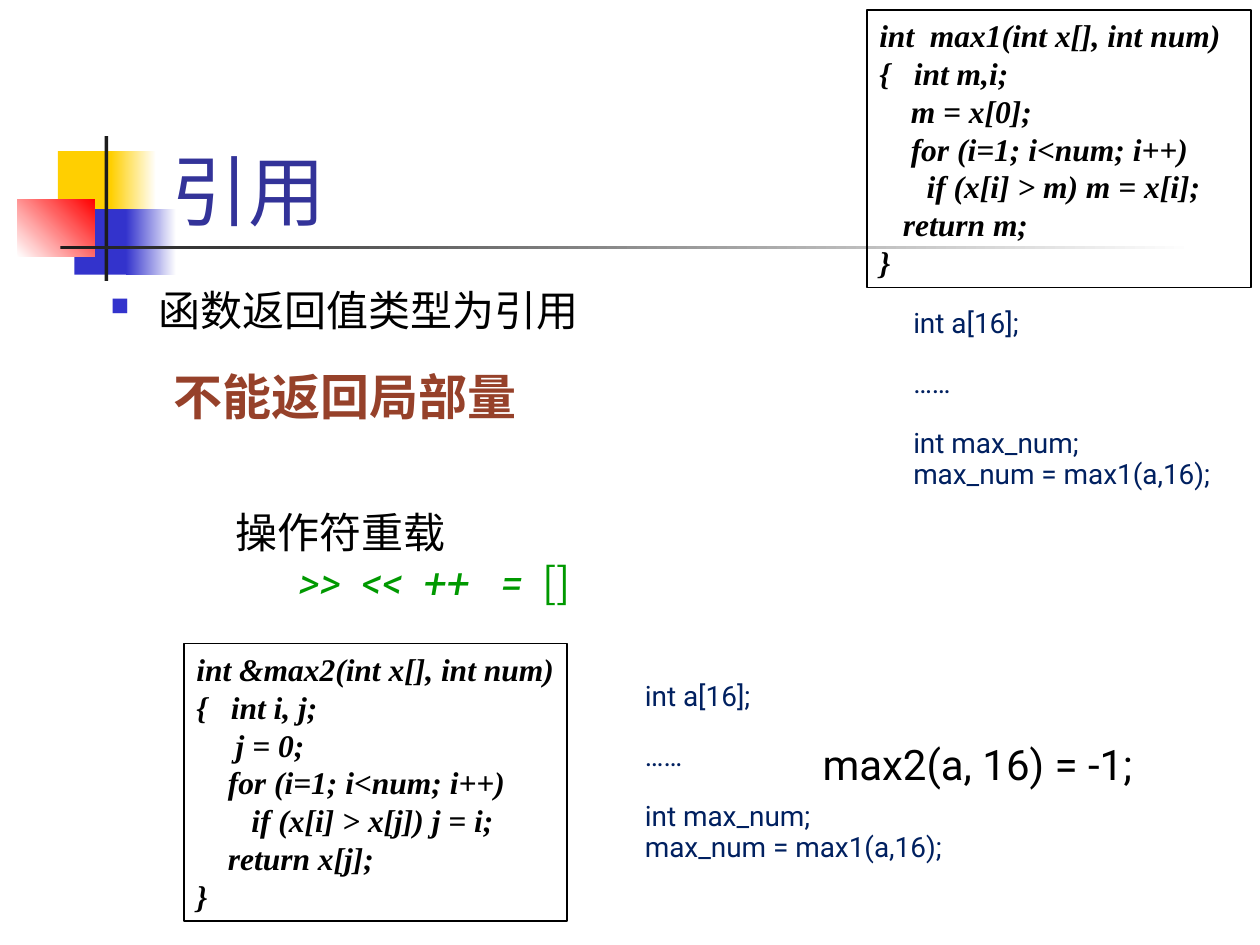
from dataclasses import dataclass

from lxml.etree import SubElement
from pptx import Presentation
from pptx.dml.color import RGBColor
from pptx.enum.shapes import MSO_SHAPE
from pptx.enum.text import MSO_ANCHOR, PP_ALIGN
from pptx.oxml.ns import qn
from pptx.util import Inches, Pt


@dataclass(frozen=True)
class Theme:
    """Colours, fonts and type sizes of the slide."""
    black: str = "000000"
    white: str = "FFFFFF"
    yellow: str = "FFCF01"
    blue: str = "3333CC"
    red: str = "FF0000"
    rule: str = "1C1C1C"
    title: str = "333399"
    navy: str = "002060"
    green: str = "009900"
    brown: str = "96412A"
    sans: str = "Roboto"
    cjk: str = "Noto Sans CJK SC"
    serif: str = "Times New Roman"
    title_size: int = 44
    warning_size: int = 28
    body_size: int = 24
    code_size: int = 18
    usage_size: int = 16


T = Theme()
CODE_SPACE = 0.0625


def add_run(p, text, size, color, font, bold=False, italic=False):
    """Add one styled run to a paragraph."""
    r = p.add_run()
    r.text = text
    r.font.size, r.font.name = Pt(size), font
    r.font.bold, r.font.italic = bold, italic
    r.font.color.rgb = RGBColor.from_string(color)
    SubElement(r._r.get_or_add_rPr(), qn("a:ea")).set("typeface", font)


def set_indent(p, left, first=0):
    """Set the left margin and first-line indent in inches."""
    pPr = p._p.get_or_add_pPr()
    pPr.set("marL", str(Inches(left)))
    pPr.set("indent", str(Inches(first)))


def set_bullet(p, char, color, percent):
    """Give a paragraph a coloured bullet."""
    pPr = p._p.get_or_add_pPr()
    SubElement(SubElement(pPr, qn("a:buClr")), qn("a:srgbClr")).set("val", color)
    SubElement(pPr, qn("a:buSzPct")).set("val", str(percent * 1000))
    SubElement(pPr, qn("a:buChar")).set("char", char)


def set_frame(s, anchor=MSO_ANCHOR.TOP):
    """Prepare a shape's text frame and return it."""
    tf = s.text_frame
    tf.word_wrap = True
    tf.vertical_anchor = anchor
    tf.margin_left, tf.margin_right = Inches(0.1), 0
    tf.margin_top = tf.margin_bottom = Inches(0.05)
    return tf


def text_frame(slide, box, anchor=MSO_ANCHOR.TOP):
    """Add a text box and return its frame."""
    return set_frame(slide.shapes.add_textbox(*map(Inches, box)), anchor)


def add_rect(slide, box):
    """Add a rectangle without shadow or line."""
    s = slide.shapes.add_shape(MSO_SHAPE.RECTANGLE, *map(Inches, box))
    s.shadow.inherit = False
    s.line.fill.background()
    return s


def add_block(slide, box, start, end=None, angle=0):
    """Add a decorative block in one colour or a two-colour gradient."""
    fill = add_rect(slide, box).fill
    if end is None:
        fill.solid()
        fill.fore_color.rgb = RGBColor.from_string(start)
        return
    fill.gradient()
    fill.gradient_angle = angle
    for stop, color in zip(fill.gradient_stops, (start, end)):
        stop.color.rgb = RGBColor.from_string(color)


def add_decoration(slide, box):
    """Place the coloured blocks and crossed rules within the box."""
    x, y, w, h = box
    add_block(slide, (x + 0.32, y + 0.12, 0.48, 0.52), T.yellow)
    add_block(slide, (x + 0.74, y + 0.12, 0.36, 0.52), T.yellow, T.white)
    add_block(slide, (x + 0.45, y + 0.58, 0.46, 0.52), T.blue)
    add_block(slide, (x + 0.86, y + 0.58, 0.4, 0.52), T.blue, T.white)
    add_block(slide, (x, y + 0.5, 0.61, 0.46), T.white, T.red, 45)
    add_block(slide, (x + 0.69, y, 0.03, h), T.rule)
    add_block(slide, (x + 0.34, y + 0.87, w - 0.34, 0.03), T.rule, T.white)


def add_title(slide, box):
    """Place the slide title."""
    p = text_frame(slide, box, MSO_ANCHOR.BOTTOM).paragraphs[0]
    add_run(p, "引用", T.title_size, T.title, T.sans)


def add_topic(slide, box):
    """Place the bulleted topic line."""
    p = text_frame(slide, box).paragraphs[0]
    p.alignment = PP_ALIGN.JUSTIFY
    p.space_before = Pt(6)
    set_indent(p, 0.38, -0.38)
    set_bullet(p, "■", T.blue, 60)
    add_run(p, "函数返回值类型为引用", T.body_size, T.black, T.cjk)


def add_code(slide, box, lines):
    """Place a framed listing of (indent in characters, text) lines."""
    s = add_rect(slide, box)
    s.fill.background()
    s.line.color.rgb = RGBColor.from_string(T.black)
    s.line.width = Pt(0.75)
    tf = set_frame(s)
    for i, (depth, line) in enumerate(lines):
        p = tf.paragraphs[0] if i == 0 else tf.add_paragraph()
        p.alignment = PP_ALIGN.LEFT
        set_indent(p, depth * CODE_SPACE)
        add_run(p, line, T.code_size, T.black, T.serif, bold=True, italic=True)


def add_usage(slide, box):
    """Place the calling example."""
    tf = text_frame(slide, box)
    lines = (("int a[16];", 0), ("……", 17), ("int max_num;", 17),
             ("max_num = max1(a,16);", 0))
    for i, (line, gap) in enumerate(lines):
        p = tf.paragraphs[0] if i == 0 else tf.add_paragraph()
        p.line_spacing, p.space_before = 0.9, Pt(gap)
        add_run(p, line, T.usage_size, T.navy, T.sans)


def add_operators(slide, box):
    """Place the operator overloading heading and its operators."""
    tf = text_frame(slide, box)
    p = tf.paragraphs[0]
    set_indent(p, 0.5)
    add_run(p, "操作符重载", T.body_size, T.black, T.cjk)
    p = tf.add_paragraph()
    set_indent(p, 1)
    add_run(p, ">>  <<  ++   =", T.body_size, T.green, T.sans, italic=True)
    add_run(p, "  []", T.body_size, T.green, T.cjk)


def add_remark(slide, box, text, size, color, font, bold=False):
    """Place a single emphasised line."""
    p = text_frame(slide, box).paragraphs[0]
    p.line_spacing = 0.9
    add_run(p, text, size, color, font, bold)


def main():
    """Build the slide and save it."""
    prs = Presentation()
    prs.slide_width, prs.slide_height = Inches(10), Inches(7.5)
    slide = prs.slides.add_slide(prs.slide_layouts[6])
    add_decoration(slide, (0.14, 1.08, 9.34, 1.15))
    add_title(slide, (1.26, 0.67, 8.52, 1.25))
    add_topic(slide, (0.78, 2.21, 6.02, 0.6))
    add_code(slide, (6.88, 0.08, 3.05, 2.2), (
        (0, "int  max1(int x[], int num)"), (0, "{   int m,i;"),
        (4, "m = x[0];"), (4, "for (i=1; i<num; i++)"),
        (6, "if (x[i] > m) m = x[i];"), (3, "return m;"), (0, "}")))
    add_code(slide, (1.46, 5.11, 3.04, 2.2), (
        (0, "int &max2(int x[], int num)"), (0, "{   int i, j;"),
        (5, "j = 0;"), (4, "for (i=1; i<num; i++)"),
        (7, "if (x[i] > x[j]) j = i;"), (4, "return x[j];"), (0, "}")))
    add_usage(slide, (7.15, 2.41, 2.67, 1.54))
    add_operators(slide, (1.27, 3.97, 3.62, 1.38))
    add_remark(slide, (1.28, 2.91, 2.92, 0.94), "不能返回局部量",
               T.warning_size, T.brown, T.cjk, bold=True)
    add_usage(slide, (5.02, 5.37, 2.67, 1.54))
    add_remark(slide, (6.43, 5.86, 2.76, 0.46), "max2(a, 16) = -1;",
               T.body_size, T.black, T.sans)
    prs.save("out.pptx")


if __name__ == "__main__":
    main()
